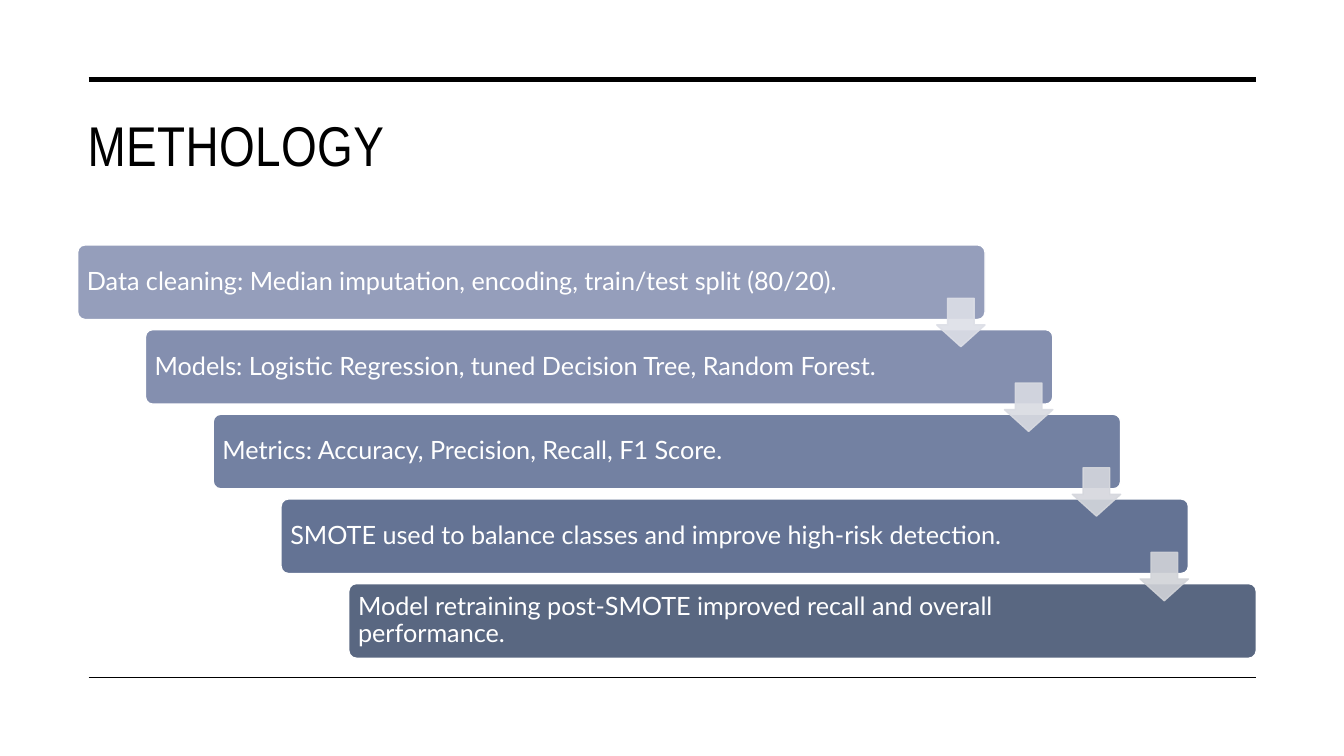
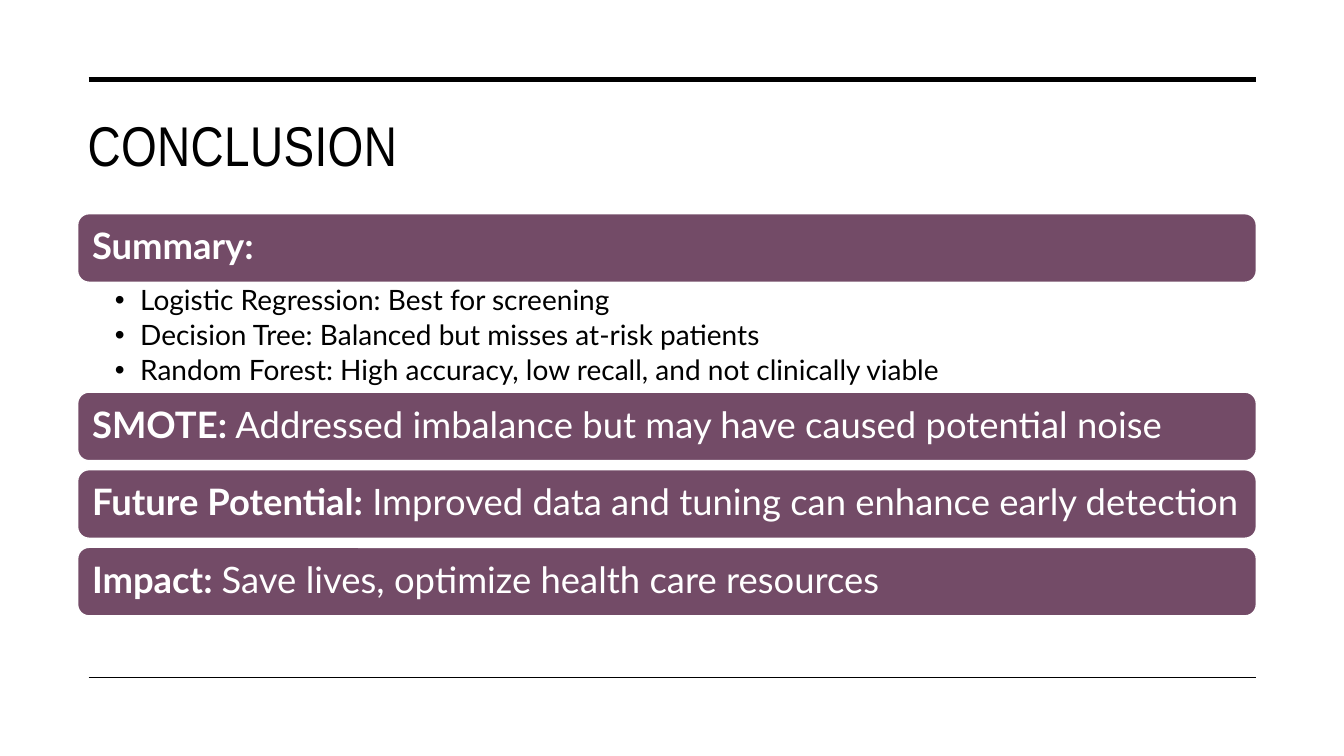
from lxml import etree
from pptx import Presentation
from pptx.dml.color import RGBColor
from pptx.enum.shapes import MSO_CONNECTOR, MSO_SHAPE
from pptx.enum.text import MSO_ANCHOR, PP_ALIGN
from pptx.oxml.ns import qn
from pptx.util import Inches, Pt

ROUNDED = MSO_SHAPE.ROUNDED_RECTANGLE
DOWN_ARROW = MSO_SHAPE.DOWN_ARROW
STRAIGHT = MSO_CONNECTOR.STRAIGHT
LEFT = PP_ALIGN.LEFT
TOP, MIDDLE = MSO_ANCHOR.TOP, MSO_ANCHOR.MIDDLE

SLIDE_W, SLIDE_H = 13.33, 7.5
CONTENT_X, CONTENT_W = 0.77, 11.69
RULE_X1, RULE_X2 = 0.88, 12.46
TITLE_FONT, BODY_FONT = "Arial Narrow", "Lato"
COLORS = {"ink": "000000", "paper": "FFFFFF", "plum": "734B67"}
STEP_COLORS = ["959EBB", "848FAF", "7381A2", "647394", "596781"]
ARROW_COLORS = ["DDDFE7", "D9DBE2", "D5D7DD", "D1D3D8"]

STEPS = [
    "Data cleaning: Median imputation, encoding, train/test split (80/20).",
    "Models: Logistic Regression, tuned Decision Tree, Random Forest.",
    "Metrics: Accuracy, Precision, Recall, F1 Score.",
    "SMOTE used to balance classes and improve high-risk detection.",
    "Model retraining post-SMOTE improved recall and overall performance.",
]
FINDINGS = [
    ("Summary:", "", [
        "Logistic Regression: Best for screening",
        "Decision Tree: Balanced but misses at-risk patients",
        "Random Forest: High accuracy, low recall, and not clinically viable",
    ]),
    ("SMOTE:", " Addressed imbalance but may have caused potential noise", []),
    ("Future Potential: ", "Improved data and tuning can enhance early detection", []),
    ("Impact: ", "Save lives, optimize health care resources", []),
]


def rgb(value):
    return RGBColor.from_string(value)


def inches(*lengths):
    return [Inches(length) for length in lengths]


def set_frame(frame, insets, anchor):
    frame.word_wrap = True
    frame.vertical_anchor = anchor
    (frame.margin_left, frame.margin_top,
     frame.margin_right, frame.margin_bottom) = inches(*insets)


def add_run(paragraph, text, size, color, font=BODY_FONT, bold=False):
    run = paragraph.add_run()
    run.text = text
    run.font.name = font
    run.font.size = Pt(size)
    run.font.bold = bold
    run.font.color.rgb = rgb(color)
    return run


def add_solid(slide, preset, box, color, line_color):
    solid = slide.shapes.add_shape(preset, *inches(*box))
    solid.shadow.inherit = False
    solid.fill.solid()
    solid.fill.fore_color.rgb = rgb(color)
    solid.line.color.rgb = rgb(line_color)
    solid.line.width = Pt(1)
    return solid


def add_bar(slide, box, color, insets, size, parts, corner=None):
    """Rounded bar whose text is given as (text, bold) parts."""
    bar = add_solid(slide, ROUNDED, box, color, COLORS["paper"])
    if corner is not None:
        bar.adjustments[0] = corner
    set_frame(bar.text_frame, insets, MIDDLE)
    paragraph = bar.text_frame.paragraphs[0]
    paragraph.alignment = LEFT
    paragraph.line_spacing = 0.9
    for text, bold in parts:
        add_run(paragraph, text, size, COLORS["paper"], bold=bold)


def add_arrow(slide, box, color, opacity=90):
    arrow = add_solid(slide, DOWN_ARROW, box, color, color)
    arrow.adjustments[0], arrow.adjustments[1] = 0.55, 0.45
    for swatch in arrow._element.spPr.iter(qn("a:srgbClr")):
        etree.SubElement(swatch, qn("a:alpha")).set("val", str(opacity * 1000))


def add_rule(slide, y, weight):
    rule = slide.shapes.add_connector(
        STRAIGHT, *inches(RULE_X1, y, RULE_X2, y))
    rule.line.color.rgb = rgb(COLORS["ink"])
    rule.line.width = Pt(weight)
    etree.SubElement(rule._element.spPr, qn("a:effectLst"))


def add_titled_slide(deck, title):
    slide = deck.slides.add_slide(deck.slide_layouts[6])
    add_rule(slide, 0.79, 3.5)
    add_rule(slide, 6.72, 1)
    heading = slide.shapes.add_textbox(*inches(CONTENT_X, 1, CONTENT_W, 1.1))
    set_frame(heading.text_frame, (0.1, 0.1, 0.1, 0.05), TOP)
    run = add_run(heading.text_frame.paragraphs[0], title, 40,
                  COLORS["ink"], TITLE_FONT)
    run.font._element.set("spc", "30")
    return slide


def add_bullets(slide, box, items):
    bullets = slide.shapes.add_textbox(*inches(*box))
    frame = bullets.text_frame
    set_frame(frame, (0.37, 0.04, 0.2, 0.04), TOP)
    for index, item in enumerate(items):
        paragraph = frame.add_paragraph() if index else frame.paragraphs[0]
        paragraph.line_spacing = 0.9
        paragraph.space_after = Pt(3.5)
        props = paragraph._p.get_or_add_pPr()
        props.set("marL", str(Inches(0.25)))
        props.set("indent", str(-Inches(0.25)))
        etree.SubElement(props, qn("a:buFont")).set("typeface", "Arial")
        etree.SubElement(props, qn("a:buChar")).set("char", "•")
        add_run(paragraph, item, 20, COLORS["ink"])


def add_staircase(slide, left, top, width):
    """Bars that step down to the right, each handing over by an arrow."""
    bar_w, bar_h, pitch, arrow_size = 9, 0.74, 0.84, 0.48
    shift = (width - bar_w) / (len(STEPS) - 1)
    corners = [(left + i * shift, top + i * pitch) for i in range(len(STEPS))]
    for (x, y), text, color in zip(corners, STEPS, STEP_COLORS):
        add_bar(slide, (x, y, bar_w, bar_h), color, (0.07, 0.07, 1.22, 0.07),
                18, [(text, False)], corner=0.1)
    for (x, y), color in zip(corners, ARROW_COLORS):
        add_arrow(slide, (x + bar_w - arrow_size, y + 0.53,
                          arrow_size, arrow_size), color)


def add_findings(slide, left, top, width):
    """Stacked bars; a bar with details is followed by its bullet list."""
    bar_h, gap, details_h = 0.68, 0.09, 1.09
    for label, statement, details in FINDINGS:
        parts = [(label, True)]
        if statement:
            parts.append((statement, False))
        add_bar(slide, (left, top, width, bar_h), COLORS["plum"],
                (0.11, 0.11, 0.05, 0.11), 26, parts)
        top += bar_h
        if details:
            add_bullets(slide, (left, top, width, details_h), details)
            top += details_h
        else:
            top += gap


def main():
    deck = Presentation()
    deck.slide_width, deck.slide_height = inches(SLIDE_W, SLIDE_H)
    add_staircase(add_titled_slide(deck, "METHOLOGY"),
                  CONTENT_X, 2.43, CONTENT_W)
    add_findings(add_titled_slide(deck, "CONCLUSION"),
                 CONTENT_X, 2.12, CONTENT_W)
    deck.save("out.pptx")


if __name__ == "__main__":
    main()
